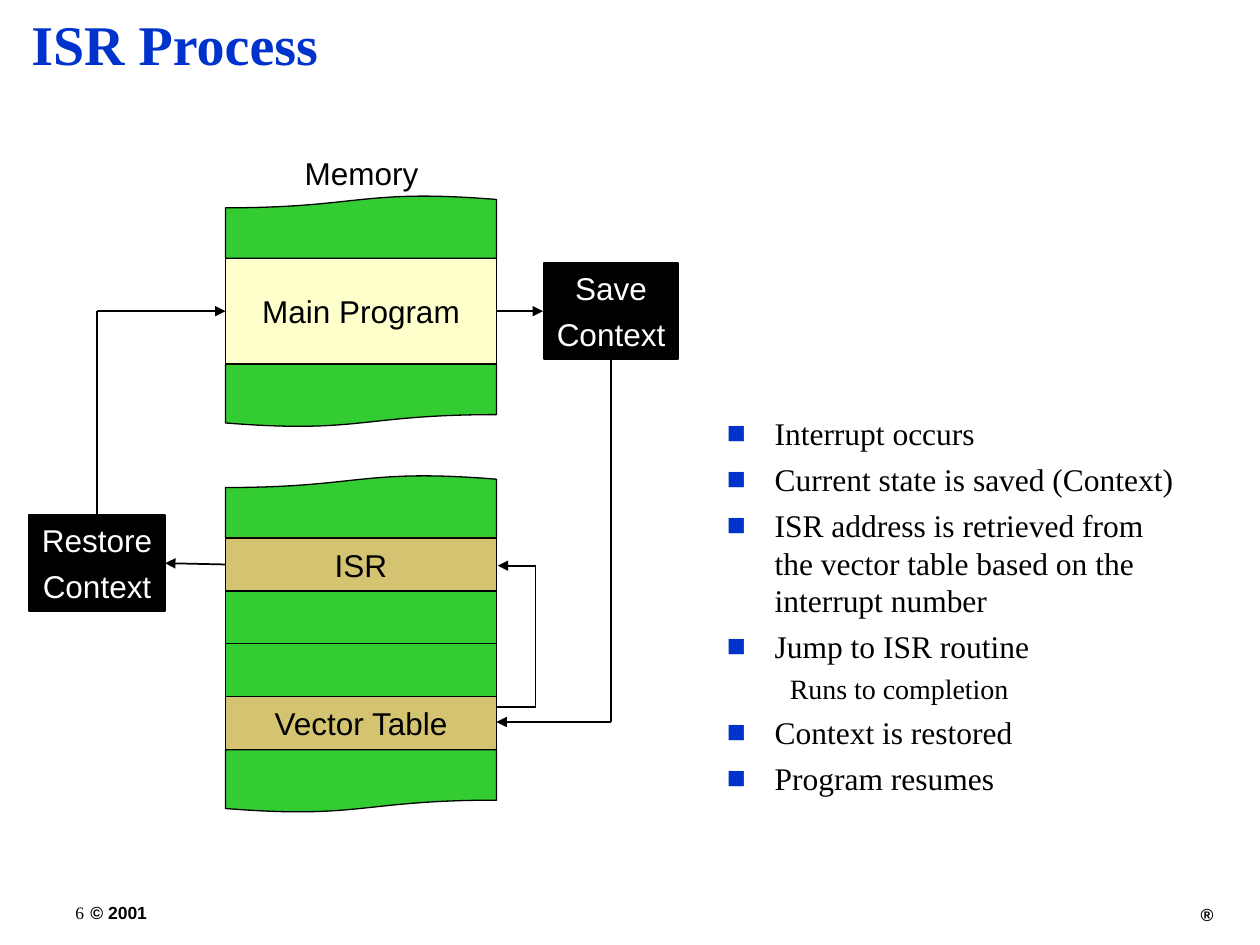
"""Build the ISR process slide: memory map, context flow and list of steps."""
import pptx
import pptx.util
import pptx.dml.color
import pptx.enum.shapes
import pptx.enum.text
import pptx.oxml.ns
import lxml.etree

WIDE, HIGH = 100, 75
CELL = pptx.util.Inches(0.1)
COLORS = {"ink": "000000", "paper": "FFFFFF", "blue": "0033CC",
          "green": "33CC33", "cream": "FFFFCC", "tan": "D4C370"}
SANS, SERIF = "Arial", "Times New Roman"
KIND = pptx.enum.shapes.MSO_SHAPE
MID = pptx.enum.text.MSO_ANCHOR.MIDDLE
TOP = pptx.enum.text.MSO_ANCHOR.TOP
MAIN = pptx.enum.text.PP_ALIGN.CENTER
LEFT = pptx.enum.text.PP_ALIGN.LEFT

BAND_X, BAND_W = 17.9, 21.5
EDGE = BAND_X + BAND_W
WAVE, ROW = 5, 4.2
BANDS = [
    (15.5, [("head", "", "green", WAVE), ("row", "Main Program", "cream", 2 * ROW),
            ("foot", "", "green", WAVE)]),
    (37.7, [("head", "", "green", WAVE), ("row", "ISR", "tan", ROW),
            ("row", "", "green", ROW), ("row", "", "green", ROW),
            ("row", "Vector Table", "tan", ROW), ("foot", "", "green", WAVE)]),
]
BOXES = [
    (("Save", "Context"), (43.2, 20.9, 10.6, 7.6)),
    (("Restore", "Context"), (2.3, 40.9, 10.8, 7.6)),
]
PATHS = [
    [(EDGE, 56.1), (42.5, 56.1), (42.5, 44.9), (39.5, 44.9)],
    [(EDGE, 24.7), (43.1, 24.7)],
    [(48.5, 28.5), (48.5, 57.3), (EDGE, 57.3)],
    [(BAND_X, 44.8), (13.1, 44.7)],
    [(7.7, 40.9), (7.7, 24.7), (BAND_X, 24.7)],
]
LABELS = [
    ("ISR Process", (0, 0, WIDE, 6.9), 1.5,
     dict(size=32, face=SERIF, bold=True, color="blue", gap=0, anchor=MID)),
    ("Memory", (23.2, 11.7, 11.1, 4), 0, dict(wrap=False)),
    ("© 2001", (6.2, 71.1, 27.7, 2.7), 0, dict(size=10, bold=True, gap=6.2)),
    ("®", (94.3, 71.2, 3, 2.7), 0,
     dict(size=10, bold=True, gap=2.5, anchor=MID, align=MAIN, wrap=False)),
    ("6", (2.6, 70.6, 4.1, 3.7), 2.4,
     dict(size=10, face=SERIF, gap=0, anchor=MID)),
]
STEPS_AT = (56.7, 32.4, 38.3, 35.7)
STEPS = [
    (0, "Interrupt occurs"),
    (0, "Current state is saved (Context)"),
    (0, "ISR address is retrieved from the vector table based on the interrupt number"),
    (0, "Jump to ISR routine"),
    (1, "Runs to completion"),
    (0, "Context is restored"),
    (0, "Program resumes"),
]
LEVELS = [dict(size=18, gap=4.5, left=3.8, first=-3.8, mark="■"),
          dict(size=16, gap=4, left=8.1, first=-3.1, mark=None)]


def rgb(name):
    return pptx.dml.color.RGBColor.from_string(COLORS[name])


def units(*vals):
    return [round(val * CELL) for val in vals]


def put(item, **vals):
    for key, val in vals.items():
        setattr(item, key, val)


def child(node, tag, **vals):
    return lxml.etree.SubElement(node, pptx.oxml.ns.qn(tag), vals)


def write(shape, lines, size=18, face=SANS, bold=False, color="ink", gap=4.5,
          anchor=TOP, align=LEFT, wrap=True):
    frame = shape.text_frame
    put(frame, word_wrap=wrap, vertical_anchor=anchor, text="\n".join(lines))
    for para in frame.paragraphs:
        put(para, alignment=align, space_before=pptx.util.Pt(gap))
        put(para.font, size=pptx.util.Pt(size), name=face, bold=bold)
        para.font.color.rgb = rgb(color)


def indent(para, left, first=0, mark=None):
    props = para._p.get_or_add_pPr()
    for key, val in zip(("marL", "indent"), units(left, first)):
        props.set(key, str(val))
    if mark:
        tint = child(props, "a:buClr")
        child(tint, "a:srgbClr", val=COLORS["blue"])
        child(props, "a:buFont", typeface=SERIF)
        child(props, "a:buChar", char=mark)
    else:
        child(props, "a:buNone")


def block(slide, kind, spot, fill, width):
    shape = slide.shapes.add_shape(kind, *units(*spot))
    shape.shadow.inherit = False
    shape.fill.solid()
    shape.fill.fore_color.rgb = rgb(fill)
    shape.line.color.rgb = rgb("ink")
    shape.line.width = pptx.util.Pt(width)
    return shape


def stack(slide, top, rows):
    for kind, text, fill, tall in rows:
        form = KIND.RECTANGLE if kind == "row" else KIND.FLOWCHART_DOCUMENT
        shape = block(slide, form, (BAND_X, top, BAND_W, tall), fill, 0.75)
        if kind == "head":
            shape.rotation = 180
        if text:
            write(shape, [text], anchor=MID, align=MAIN, wrap=False)
        top += tall


def trace(slide, spots):
    for start, end in zip(spots, spots[1:]):
        line = slide.shapes.add_connector(
            pptx.enum.shapes.MSO_CONNECTOR.STRAIGHT, *units(*start, *end))
        line.line.color.rgb = rgb("ink")
        line.line.width = pptx.util.Pt(1)
        child(line._element.spPr, "a:effectLst")
    child(line.line._get_or_add_ln(), "a:tailEnd", type="triangle")


def main():
    deck = pptx.Presentation()
    put(deck, slide_width=WIDE * CELL, slide_height=HIGH * CELL)
    slide = deck.slides.add_slide(deck.slide_layouts[6])
    for top, rows in BANDS:
        stack(slide, top, rows)
    for lines, spot in BOXES:
        shape = block(slide, KIND.RECTANGLE, spot, "ink", 1)
        write(shape, lines, color="paper", anchor=MID, align=MAIN, wrap=False)
    for spots in PATHS:
        trace(slide, spots)
    for text, spot, left, style in LABELS:
        label = slide.shapes.add_textbox(*units(*spot))
        write(label, [text], **style)
        indent(label.text_frame.paragraphs[0], left)
    steps = slide.shapes.add_textbox(*units(*STEPS_AT))
    write(steps, [text for _, text in STEPS], face=SERIF)
    for para, (depth, _) in zip(steps.text_frame.paragraphs, STEPS):
        style = LEVELS[depth]
        put(para, level=depth, space_before=pptx.util.Pt(style["gap"]))
        para.font.size = pptx.util.Pt(style["size"])
        indent(para, style["left"], style["first"], style["mark"])
    deck.save("out.pptx")


if __name__ == "__main__":
    main()
